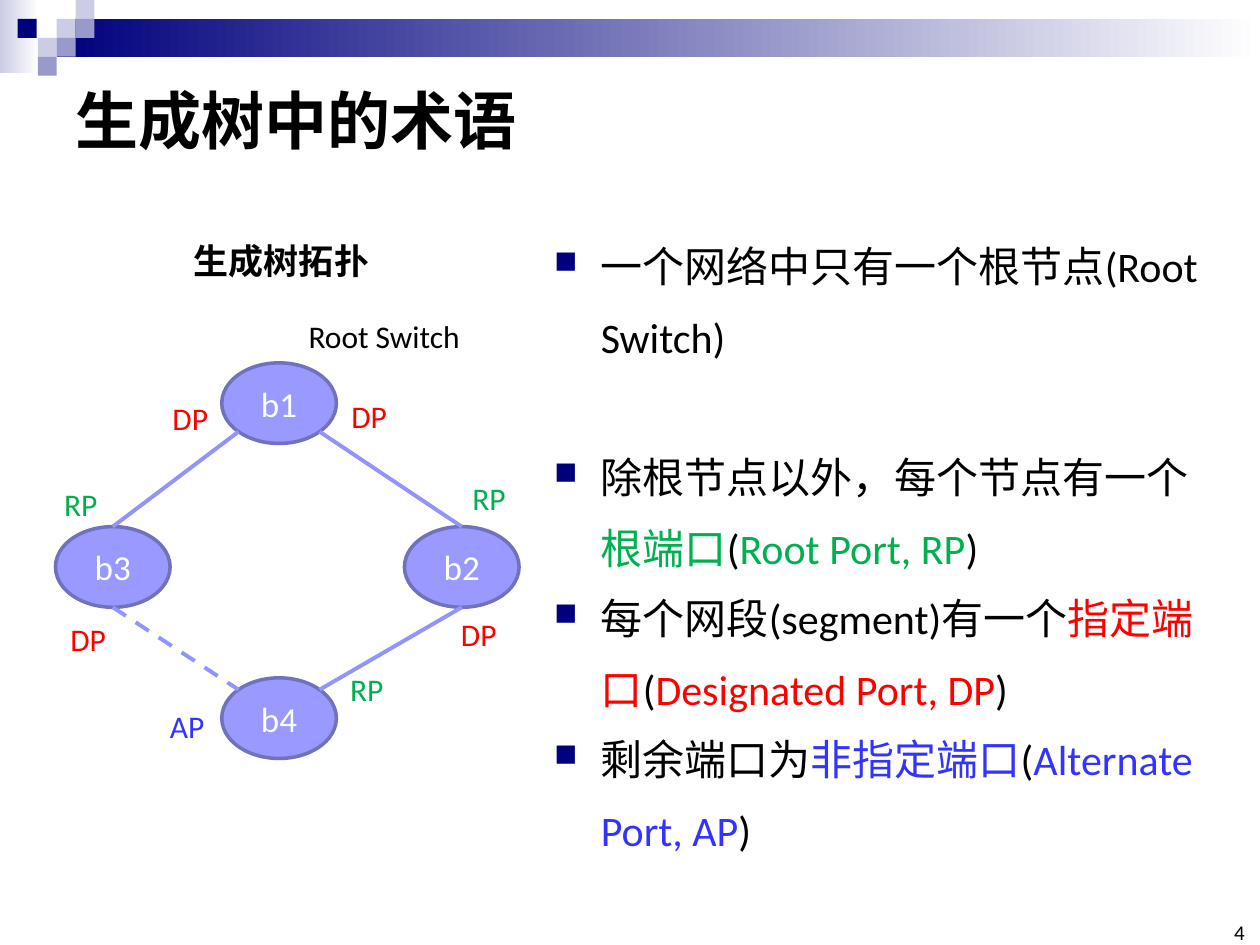
from math import cos, radians, sin

from lxml import etree
from pptx import Presentation
from pptx.dml.color import RGBColor
from pptx.enum.dml import MSO_LINE_DASH_STYLE as DASH
from pptx.enum.shapes import MSO_CONNECTOR, MSO_SHAPE
from pptx.enum.text import MSO_ANCHOR, MSO_AUTO_SIZE, PP_ALIGN
from pptx.oxml.ns import qn
from pptx.util import Inches, Pt

BLACK = RGBColor(0x00, 0x00, 0x00)
WHITE = RGBColor(0xFF, 0xFF, 0xFF)
NAVY = RGBColor(0x00, 0x00, 0x7D)
PALE = RGBColor(0xCC, 0xCC, 0xE6)
MAUVE = RGBColor(0x99, 0x99, 0xCC)
NODE_FILL = RGBColor(0x99, 0x99, 0xFF)
NODE_EDGE = RGBColor(0x71, 0x71, 0xBD)
LINK = RGBColor(0x93, 0x93, 0xFC)
GREEN = RGBColor(0x00, 0xB0, 0x50)
RED = RGBColor(0xFF, 0x00, 0x00)
BLUE = RGBColor(0x33, 0x33, 0xFF)

COLUMNS, ROWS = 100, 75
TILE = 1.5
NODE_W, NODE_H = 9.1, 6.4


class Deck:
    """One slide on a grid of COLUMNS by ROWS cells, with its style."""

    font = "Calibri"

    def __init__(self):
        self.prs = Presentation()
        self.prs.slide_width, self.prs.slide_height = Inches(10), Inches(7.5)
        self.slide = self.prs.slides.add_slide(self.prs.slide_layouts[5])
        self.shapes = self.slide.shapes

    def x(self, columns):
        return round(self.prs.slide_width * columns / COLUMNS)

    def y(self, rows):
        return round(self.prs.slide_height * rows / ROWS)

    def box(self, left, top, width, height):
        return self.x(left), self.y(top), self.x(width), self.y(height)

    def run(self, paragraph, text, size, color=BLACK, bold=False):
        run = paragraph.add_run()
        run.text = text
        font = run.font
        font.name, font.size, font.bold = self.font, Pt(size), bold
        font.color.rgb = color

    def title(self, text, *place):
        title = self.shapes.title
        title.left, title.top, title.width, title.height = self.box(*place)
        title.text_frame.vertical_anchor = MSO_ANCHOR.MIDDLE
        paragraph = title.text_frame.paragraphs[0]
        paragraph.alignment = PP_ALIGN.LEFT
        self.run(paragraph, text, 36, bold=True)

    def rectangle(self, place, color, fade_to=None):
        shape = self.shapes.add_shape(MSO_SHAPE.RECTANGLE, *self.box(*place))
        shape.shadow.inherit = False
        shape.line.fill.background()
        if fade_to is None:
            shape.fill.solid()
            shape.fill.fore_color.rgb = color
        else:
            shape.fill.gradient()
            shape.fill.gradient_angle = 0
            for stop, stop_color in zip(shape.fill.gradient_stops, (color, fade_to)):
                stop.color.rgb = stop_color

    def node(self, text, left, top):
        ellipse = self.shapes.add_shape(
            MSO_SHAPE.OVAL, *self.box(left, top, NODE_W, NODE_H))
        ellipse.shadow.inherit = False
        ellipse.fill.solid()
        ellipse.fill.fore_color.rgb = NODE_FILL
        ellipse.line.color.rgb = NODE_EDGE
        ellipse.line.width = Pt(2)
        ellipse.text_frame.vertical_anchor = MSO_ANCHOR.MIDDLE
        paragraph = ellipse.text_frame.paragraphs[0]
        paragraph.alignment = PP_ALIGN.CENTER
        self.run(paragraph, text, 20, WHITE)

    def link(self, start, end, dashed=False):
        line = self.shapes.add_connector(
            MSO_CONNECTOR.STRAIGHT, self.x(start[0]), self.y(start[1]),
            self.x(end[0]), self.y(end[1]))
        line.line.color.rgb = LINK
        line.line.width = Pt(2.25)
        if dashed:
            line.line.dash_style = DASH.DASH
        etree.SubElement(line._element.spPr, qn("a:effectLst"))

    def label(self, text, place, size=18, color=BLACK, bold=False):
        frame = self.shapes.add_textbox(*self.box(*place)).text_frame
        frame.word_wrap = False
        frame.auto_size = MSO_AUTO_SIZE.SHAPE_TO_FIT_TEXT
        self.run(frame.paragraphs[0], text, size, color, bold)

    def page_number(self, text, *place):
        frame = self.shapes.add_textbox(*self.box(*place)).text_frame
        frame.margin_left = frame.margin_right = 0
        frame.margin_top = frame.margin_bottom = 0
        frame.word_wrap = True
        frame.vertical_anchor = MSO_ANCHOR.BOTTOM
        frame.paragraphs[0].alignment = PP_ALIGN.RIGHT
        self.run(frame.paragraphs[0], text, 12)

    def bullet(self, paragraph):
        props = paragraph._p.get_or_add_pPr()
        indent = self.x(3.7)
        props.set("marL", str(indent))
        props.set("indent", str(-indent))
        color = etree.SubElement(props, qn("a:buClr"))
        etree.SubElement(color, qn("a:srgbClr"), val=str(NAVY))
        etree.SubElement(props, qn("a:buSzPct"), val="75000")
        etree.SubElement(props, qn("a:buChar"), char="■")

    def bullet_list(self, items, *place):
        """Each item is its space before in points and its (text, color) runs."""
        frame = self.shapes.add_textbox(*self.box(*place)).text_frame
        frame.word_wrap = True
        for number, (space_before, runs) in enumerate(items):
            paragraph = frame.add_paragraph() if number else frame.paragraphs[0]
            self.bullet(paragraph)
            paragraph.line_spacing = 1.4
            paragraph.space_before = Pt(space_before)
            for text, color in runs:
                self.run(paragraph, text, 24, color)


def rim(node, angle):
    """Point on a node's outline, in degrees clockwise from the right."""
    left, top = node
    return (left + NODE_W / 2 * (1 + cos(radians(angle))),
            top + NODE_H / 2 * (1 + sin(radians(angle))))


def main():
    deck = Deck()

    deck.rectangle((0, 0, 3.1, 5.8), PALE, WHITE)
    deck.rectangle((4.5, 1.5, 95.5, 3), NAVY, WHITE)
    mosaic = [(4.5, 1.5, PALE), (6, 0, PALE), (6, 1.5, MAUVE), (3, 3, PALE),
              (1.4, 1.5, NAVY), (4.5, 3, MAUVE), (3, 4.5, MAUVE)]
    for left, top, color in mosaic:
        deck.rectangle((left, top, TILE, TILE), color)

    deck.title("生成树中的术语", 5, 5, 90, 8.9)
    deck.page_number("4", 96.5, 73.3, 2.3, 1.7)

    switches = {"b1": (17.6, 28.8), "b3": (4.4, 41.8),
                "b2": (32.1, 41.8), "b4": (17.6, 53.8)}
    for switch, corner in switches.items():
        deck.node(switch, *corner)
    links = [("b1", 135, "b3", 270, False), ("b1", 45, "b2", 270, False),
             ("b3", 90, "b4", 225, True), ("b2", 90, "b4", 315, False)]
    for upper, leaving, lower, arriving, dashed in links:
        deck.link(rim(switches[upper], leaving),
                  rim(switches[lower], arriving), dashed)

    deck.label("生成树拓扑", (14.4, 18.5, 16.1, 4.4), size=20, bold=True)
    deck.label("Root Switch", (23.5, 24.7, 14.2, 4))

    deck.bullet_list([
        (0, [("一个网络中只有一个根节点(Root Switch)", BLACK)]),
        (40, [("除根节点以外，每个节点有一个", BLACK), ("根端口", GREEN),
              ("(", BLACK), ("Root Port, RP", GREEN), (")", BLACK)]),
        (0, [("每个网段(segment)有一个", BLACK), ("指定端口", RED),
             ("(", BLACK), ("Designated Port, DP", RED), (")", BLACK)]),
        (0, [("剩余端口为", BLACK), ("非指定端口", BLUE),
             ("(", BLACK), ("Alternate Port, AP", BLUE), (")", BLACK)]),
    ], 43, 17, 55.3, 55.1)

    ports = [("RP", GREEN, [(4.1, 38), (36.5, 37.5), (26.8, 52.7)]),
             ("DP", RED, [(12.7, 31.2), (26.9, 31), (4.6, 48.7), (35.6, 48.3)]),
             ("AP", BLUE, [(12.5, 55.6)])]
    for role, color, corners in ports:
        for left, top in corners:
            deck.label(role, (left, top, 4.8, 4), color=color)

    deck.prs.save("out.pptx")


if __name__ == "__main__":
    main()
